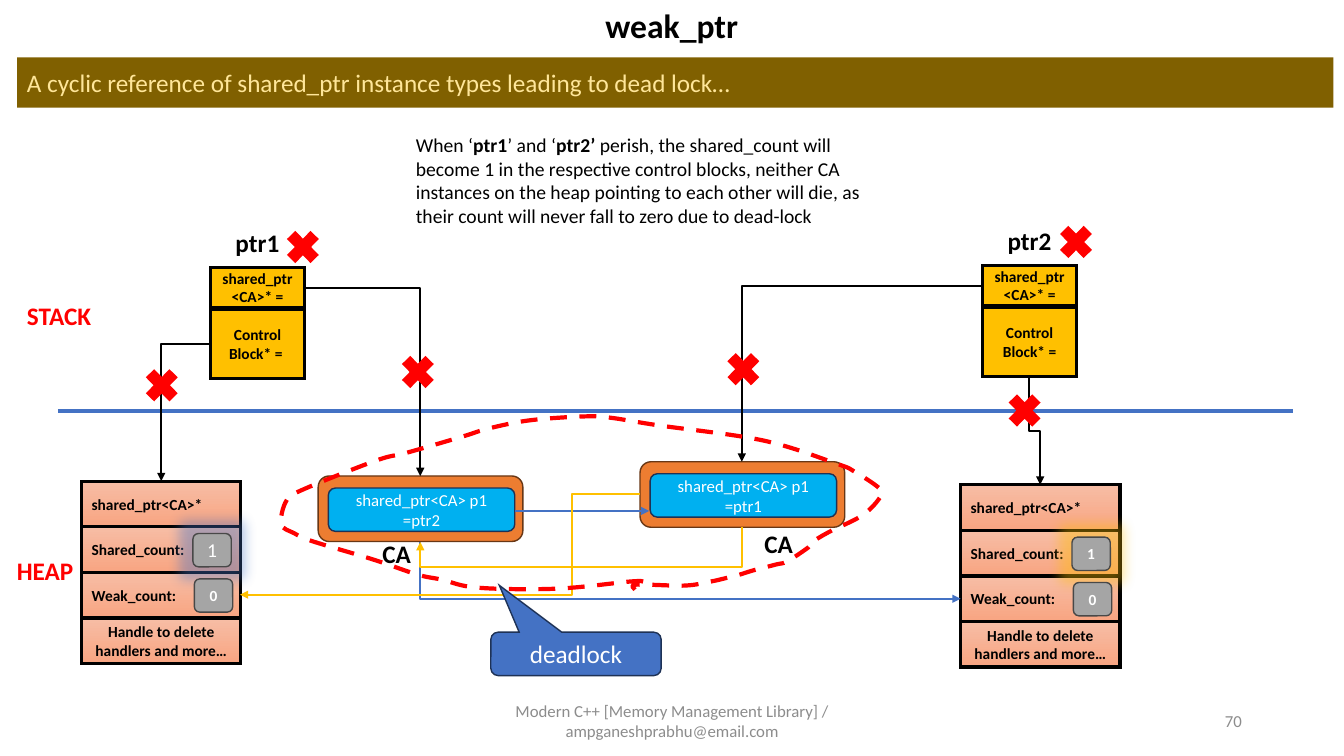
from lxml.etree import SubElement as Sub
from pptx import Presentation
from pptx.dml.color import RGBColor as RGB
from pptx.enum.dml import MSO_LINE as Dash
from pptx.enum.shapes import MSO_CONNECTOR as Link, MSO_SHAPE as Form
from pptx.enum.text import MSO_ANCHOR as Anchor, MSO_AUTO_SIZE as Size, PP_ALIGN as Align
from pptx.oxml.ns import qn
from pptx.util import Pt

BLACK, WHITE, RED = RGB(0, 0, 0), RGB(255, 255, 255), RGB(255, 0, 0)
BROWN, CREAM = RGB(0x80, 0x60, 0x00), RGB(0xFF, 0xE6, 0x99)
BLUE, NAVY, SKY = RGB(0x44, 0x72, 0xC4), RGB(0x1E, 0x32, 0x56), RGB(0x00, 0xB0, 0xF0)
GOLD, ORANGE, RUST = RGB(0xFF, 0xC0, 0x00), RGB(0xED, 0x7D, 0x31), RGB(0x68, 0x37, 0x15)
GREY, DARK, PALE = RGB(0xA5, 0xA5, 0xA5), RGB(0x48, 0x48, 0x48), RGB(0x8C, 0x8C, 0x8C)
PEACH = RGB(0xF7, 0xBD, 0xA5), RGB(0xF8, 0xA5, 0x82)

CROSSES = [(753.1, 157), (515.5, 247.9), (716.4, 277.4),
           (200.9, 160.6), (283, 249.9), (100.1, 259.4)]
LOOP = [(459.4, 415.4), (450, 415.4), (397.4, 420.5), (341.3, 419.8), (315.4, 414),
        (298.1, 410.4), (266.4, 399.6), (223.2, 386.6), (210.2, 380.9), (200.9, 374.4),
        (204.5, 357.8), (216, 349.9), (268.6, 329), (290.9, 323.3), (330.5, 311.8),
        (349.2, 306), (378.7, 300.2), (418.3, 297.4), (437, 298.5),
        (470.2, 303.8), (545, 314.6), (597.6, 331.2), (610.6, 337), (627.8, 348.5),
        (629.3, 354.2), (616.3, 367.9), (591.8, 380.2), (578.9, 388.1), (577.4, 391),
        (562.3, 401), (554.4, 403.2), (537.8, 407.5), (528.5, 410.4), (517, 413.3),
        (507.6, 415.4), (488.9, 418.3), (454.5, 417.6), (453.6, 421.2)]


def write(shape, runs, size, color, bold=False, align=Align.LEFT, anchor=Anchor.MIDDLE):
    """Fill a shape with one paragraph; runs is a string or (text, bold) pairs."""
    frame = shape.text_frame
    for key, val in {"word_wrap": True, "auto_size": Size.NONE,
                     "vertical_anchor": anchor}.items():
        setattr(frame, key, val)
    para = frame.paragraphs[0]
    para.alignment = align
    for text, heavy in [(runs, bold)] if isinstance(runs, str) else runs:
        run = para.add_run()
        run.text = text
        for key, val in {"name": "Calibri", "size": Pt(size), "bold": heavy}.items():
            setattr(run.font, key, val)
        run.font.color.rgb = color


def label(slide, box, runs, size, color, bold=False, align=Align.LEFT, anchor=Anchor.TOP):
    text = slide.shapes.add_textbox(*map(Pt, box))
    write(text, runs, size, color, bold, align, anchor)


def block(slide, form, box, fill, edge=None, width=1):
    """Add a preset shape; a pair of fill colours makes a downward gradient."""
    shape = slide.shapes.add_shape(form, *map(Pt, box))
    shape.shadow.inherit = False
    if isinstance(fill, RGB):
        shape.fill.solid()
        shape.fill.fore_color.rgb = fill
    else:
        shape.fill.gradient()
        shape.fill.gradient_angle = 270
        for stop, color in zip(shape.fill.gradient_stops, fill):
            stop.color.rgb = color
    if edge is None:
        shape.line.fill.background()
    else:
        shape.line.color.rgb = edge
        shape.line.width = Pt(width)
        Sub(shape._element.spPr.find(qn("a:ln")), qn("a:miter"), lim="800000")
    return shape


def glow(shape, color):
    halo = Sub(shape._element.spPr.find(qn("a:effectLst")), qn("a:glow"), rad=str(Pt(18)))
    tone = Sub(halo, qn("a:srgbClr"), val=str(color))
    Sub(tone, qn("a:alpha"), val="40000")


def line(slide, kind, start, end, color, width):
    link = slide.shapes.add_connector(kind, *map(Pt, (*start, *end)))
    link.line.color.rgb = color
    link.line.width = Pt(width)
    Sub(link._element.spPr, qn("a:effectLst"))
    return link


def arrow(slide, start, end, color, bend=None, down=False):
    """Elbow arrow: one corner, or two when bend is set; down leaves vertically."""
    turn = 0
    if down:
        (x1, y1), (x2, y2) = start, end
        midx, midy = (x1 + x2) / 2, (y1 + y2) / 2
        half, rise = (y2 - y1) / 2, abs(x2 - x1) / 2
        turn = 270 if x2 > x1 else 90
        if x2 > x1:
            half = -half
        start, end = (midx - half, midy - rise), (midx + half, midy + rise)
    link = line(slide, Link.ELBOW, start, end, color, 1.5)
    props = link._element.spPr
    if turn:
        props.find(qn("a:xfrm")).set("rot", str(turn * 60000))
    geom = props.find(qn("a:prstGeom"))
    if bend is None:
        geom.set("prst", "bentConnector2")
    else:
        Sub(geom.find(qn("a:avLst")), qn("a:gd"), name="adj1",
            fmla=f"val {round(bend * 100000)}")
    Sub(props.find(qn("a:ln")), qn("a:tailEnd"), type="triangle")


def pointer(slide, left, top, name, block_text):
    for gap, high, text in [(0, 28.8, "shared_ptr<CA>* ="), (30, 49.7, block_text)]:
        cell = block(slide, Form.RECTANGLE, (left, top + gap, 67, high), GOLD, BLACK, 2.25)
        write(cell, text, 11, BLACK, True, Align.CENTER)
    label(slide, (left + 8.2, top - 31.7, 50.4, 28.8), name, 18, BLACK, True, Align.CENTER)


def control(slide, left, top, halo, size, bold):
    """Draw a control block with its two counts."""
    rows = ["shared_ptr<CA>*", "Shared_count:", "Weak_count:",
            "Handle to delete handlers and more…"]
    for i, text in enumerate(rows):
        row = block(slide, Form.RECTANGLE, (left, top + 32.6 * i, 113.8, 32.4),
                    PEACH, BLACK, 2.25)
        write(row, text, 11, BLACK, True, Align.CENTER if i == 3 else Align.LEFT)
    for i, (text, high, heavy) in enumerate([("1", size, bold), ("0", 11, True)]):
        count = block(slide, Form.ROUNDED_RECTANGLE,
                      (left + 79.5 + i, top + 37.4 + 32.4 * i, 27.4, 23.8), GREY, DARK)
        write(count, text, high, WHITE, heavy, Align.CENTER)
        if i == 0:
            glow(count, halo)


def member(slide, left, top, text, tag):
    """Draw a CA instance that holds a shared_ptr."""
    block(slide, Form.ROUNDED_RECTANGLE, (left, top, 146.2, 46.8), ORANGE, RUST)
    label(slide, (*tag, 43.9, 28.8), "CA", 18, BLACK, True, Align.CENTER)
    inner = block(slide, Form.ROUNDED_RECTANGLE, (left + 7.2, top + 8.6, 133.2, 31), SKY, NAVY)
    write(inner, text, 12, WHITE, align=Align.CENTER)


def bow(shape):
    """Turn the straight parts of a freeform into one smooth curve."""
    track = next(shape._element.iter(qn("a:path")))
    dots = [(int(p.get("x")), int(p.get("y"))) for p in track.iter(qn("a:pt"))]
    ends = [dots[0], *dots, dots[-1]]
    for part, a, b, c, d in zip(list(track)[1:], ends, ends[1:], ends[2:], ends[3:]):
        track.remove(part)
        arc = Sub(track, qn("a:cubicBezTo"))
        near = [q + (r - p) / 6 for p, q, r in zip(a, b, c)]
        far = [r - (s - q) / 6 for q, r, s in zip(b, c, d)]
        for x, y in (near, far, c):
            Sub(arc, qn("a:pt"), x=str(round(x)), y=str(round(y)))


def ring(slide):
    dots = [(Pt(x), Pt(y)) for x, y in LOOP]
    pen = slide.shapes.build_freeform(*dots[0])
    pen.add_line_segments(dots[1:], close=False)
    shape = pen.convert_to_shape()
    bow(shape)
    shape.shadow.inherit = False
    shape.fill.background()
    shape.line.color.rgb = RED
    for key, val in {"width": Pt(3), "dash_style": Dash.DASH}.items():
        setattr(shape.line, key, val)


def main():
    deck = Presentation()
    deck.slide_width, deck.slide_height = Pt(960), Pt(540)
    slide = deck.slides.add_slide(deck.slide_layouts[5])
    title = slide.shapes.title
    for key, val in {"left": 403.9, "top": 0, "width": 151.9, "height": 36}.items():
        setattr(title, key, Pt(val))
    write(title, "weak_ptr", 24, BLACK, True, Align.CENTER, Anchor.TOP)
    bar = block(slide, Form.RECTANGLE, (12.2, 41, 940.3, 36), BROWN)
    write(bar, "A cyclic reference of shared_ptr instance types leading to dead lock…", 18, CREAM)
    line(slide, Link.STRAIGHT, (41.3, 293.8), (923.8, 293.8), BLUE, 3)
    label(slide, (12.2, 211, 60.5, 28.8), "STACK", 18, RED, True)
    label(slide, (5, 393.1, 60.5, 28.8), "HEAP", 18, RED, True)

    pointer(slide, 150.5, 190.8, "ptr1", "Control Block* = ")
    pointer(slide, 702, 189.4, "ptr2", "Control Block* =")
    control(slide, 58.3, 343.7, BLUE, 14, False)
    control(slide, 686.2, 346.3, GOLD, 11, True)
    member(slide, 227.3, 340, "shared_ptr<CA> p1 =ptr2", (261.4, 380.9))
    member(slide, 457.2, 329.8, "shared_ptr<CA> p1 =ptr1", (534.2, 373.7))

    arrow(slide, (217.4, 205.5), (300.2, 340), BLACK)
    arrow(slide, (150.5, 245.5), (115.2, 343.7), BLACK)
    arrow(slide, (702, 204.5), (529.9, 329.8), BLACK)
    arrow(slide, (735.1, 269.3), (743, 346.3), BLACK, 0.5, True)
    arrow(slide, (367.9, 365), (463.7, 365), BLUE, 0.5)
    arrow(slide, (300.2, 387.4), (686.2, 427.7), BLUE, down=True)
    arrow(slide, (529.9, 376.6), (300.2, 387.2), GOLD, 2.71, True)
    arrow(slide, (457.2, 352.8), (171.4, 424.8), GOLD, 0.17)

    label(slide, (290, 91.4, 334.1, 74.9), [
        ("When ‘", False), ("ptr1", True), ("’ and ‘", False), ("ptr2’", True),
        (" perish, the shared_count will become 1 in the respective control blocks, "
         "neither CA instances on the heap pointing to each other will die, as their "
         "count will never fall to zero due to dead-lock", False)], 14, BLACK)
    for spot in CROSSES:
        block(slide, Form.MATH_MULTIPLY, (*spot, 31, 31.7), RED, RED)
    ring(slide)
    call = block(slide, Form.ROUNDED_RECTANGULAR_CALLOUT, (350.6, 451.6, 121.7, 31), BLUE, NAVY)
    for i, val in enumerate((-0.45, -1.58, 0.17)):
        call.adjustments[i] = val
    write(call, "deadlock", 18, WHITE, align=Align.CENTER)
    label(slide, (318.2, 500.4, 324, 28.8),
          "Modern C++ [Memory Management Library] / ampganeshprabhu@email.com",
          12, PALE, align=Align.CENTER, anchor=Anchor.MIDDLE)
    label(slide, (678.2, 500.4, 216, 28.8), "70", 12, PALE,
          align=Align.RIGHT, anchor=Anchor.MIDDLE)
    deck.save("out.pptx")


if __name__ == "__main__":
    main()
